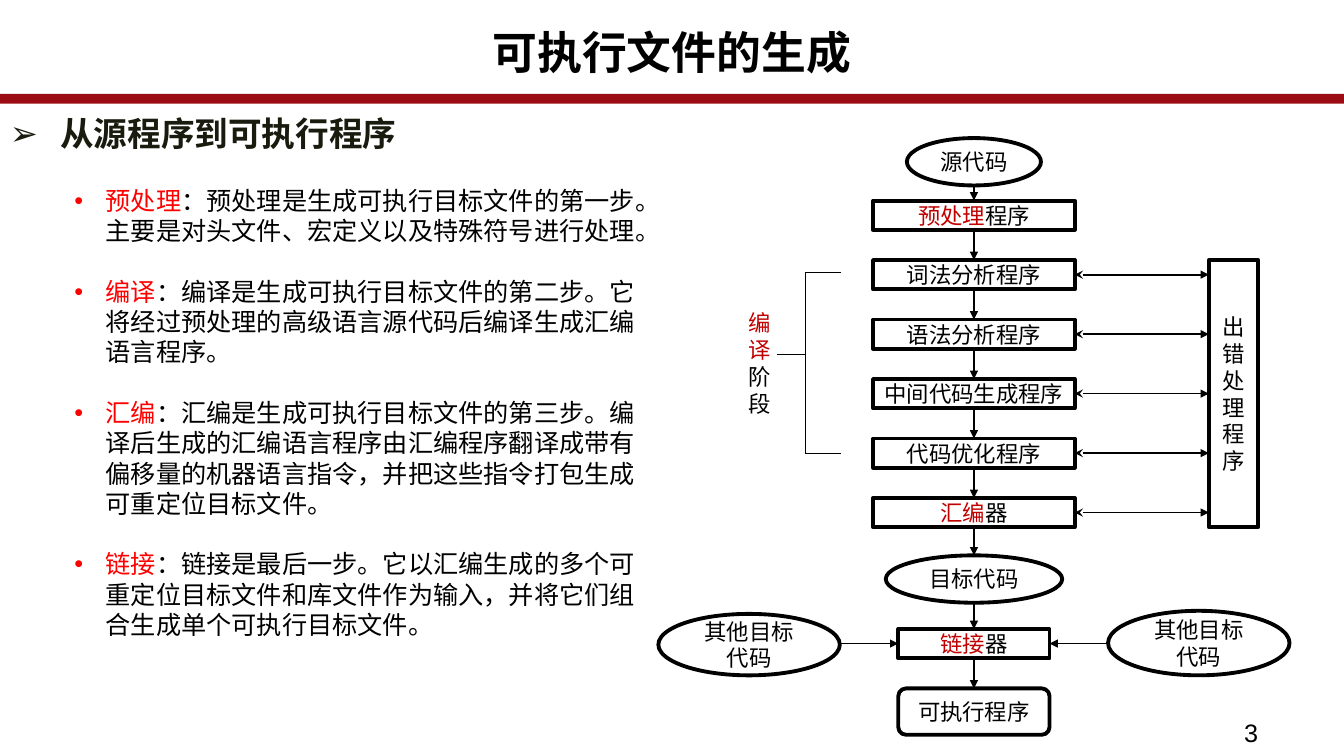
import dataclasses

import lxml.etree
import pptx
import pptx.dml.color
import pptx.enum.shapes
import pptx.enum.text
import pptx.oxml.ns
import pptx.util

COLORS = {"black": "000000", "white": "FFFFFF", "bar": "9C0C15",
          "heading": "191B0E", "term": "FF0000", "stage": "C00000"}
SHAPE = pptx.enum.shapes.MSO_SHAPE
ALIGN = pptx.enum.text.PP_ALIGN
ANCHOR = pptx.enum.text.MSO_ANCHOR
WIDTH, HEIGHT = 13.33, 7.5

STEPS = [
    ("预处理", "：预处理是生成可执行目标文件的第一步。主要是对头文件、宏定义以及特殊符号进行处理。"),
    ("编译", "：编译是生成可执行目标文件的第二步。它将经过预处理的高级语言源代码后编译生成汇编语言程序。"),
    ("汇编", "：汇编是生成可执行目标文件的第三步。编译后生成的汇编语言程序由汇编程序翻译成带有偏移量的机器语言指令，并把这些指令打包生成可重定位目标文件。"),
    ("链接", "：链接是最后一步。它以汇编生成的多个可重定位目标文件和库文件作为输入，并将它们组合生成单个可执行目标文件。"),
]
PROGRAMS = [("预处理", "程序"), ("", "词法分析程序"), ("", "语法分析程序"),
            ("", "中间代码生成程序"), ("", "代码优化程序"), ("汇编", "器")]


@dataclasses.dataclass
class Box:
    left: float
    top: float
    width: float
    height: float

    @property
    def right(self):
        return self.left + self.width

    @property
    def bottom(self):
        return self.top + self.height

    @property
    def center(self):
        return self.left + self.width / 2

    @property
    def middle(self):
        return self.top + self.height / 2

    def inches(self):
        return [pptx.util.Inches(value) for value in (self.left, self.top, self.width, self.height)]


def color(name):
    return pptx.dml.color.RGBColor.from_string(COLORS[name])


def add_xml(parent, tag, **attributes):
    return lxml.etree.SubElement(parent, pptx.oxml.ns.qn(tag), attributes)


def set_bullet(para, mark, indent):
    properties = para._p.get_or_add_pPr()
    properties.set("marL", str(pptx.util.Inches(indent)))
    properties.set("indent", str(-pptx.util.Inches(indent)))
    add_xml(properties, "a:buFont", typeface="Arial")
    add_xml(properties, "a:buChar", char=mark)


def write(para, parts, size, face="Arial", bold=False):
    para.font.size = pptx.util.Pt(size)
    para.font.name = face
    para.font.bold = bold
    parts = [part for part in parts if part[0]]
    for text, name in parts:
        span = para.add_run()
        span.text = text
        if len(parts) > 1:
            span.font.color.rgb = color(name)
    if len(parts) == 1:
        para.font.color.rgb = color(parts[0][1])


def add_text(page, box):
    frame = page.shapes.add_textbox(*box.inches()).text_frame
    frame.word_wrap = True
    return frame


def add_outlined(page, box, kind, fill, line):
    shape = page.shapes.add_shape(kind, *box.inches())
    shape.shadow.inherit = False
    shape.fill.solid()
    shape.fill.fore_color.rgb = color(fill)
    shape.line.color.rgb = color(line)
    shape.line.width = pptx.util.Pt(2.75)
    return shape


def add_node(page, box, kind, text, stage=""):
    frame = add_outlined(page, box, kind, "white", "black").text_frame
    frame.word_wrap = True
    frame.vertical_anchor = ANCHOR.MIDDLE
    frame.margin_top = frame.margin_bottom = 0
    para = frame.paragraphs[0]
    para.alignment = ALIGN.CENTER
    write(para, [(stage, "stage"), (text, "black")], 16, "Times New Roman")
    return box


def add_line(page, start, end, width=1.25, head=None, tail=None):
    line = page.shapes.add_connector(
        pptx.enum.shapes.MSO_CONNECTOR.STRAIGHT,
        *[pptx.util.Inches(value) for value in (*start, *end)])
    line.line.color.rgb = color("black")
    line.line.width = pptx.util.Pt(width)
    for tag, arrow in (("a:headEnd", head), ("a:tailEnd", tail)):
        if arrow:
            add_xml(line.line._get_or_add_ln(), tag, type=arrow)
    add_xml(line._element.spPr, "a:effectLst")


def add_header(page, box):
    add_outlined(page, Box(box.left, box.top + 0.95, box.width, 0.06),
                 SHAPE.ROUNDED_RECTANGLE, "bar", "bar")
    para = add_text(page, Box(box.left, box.top + 0.26, box.width, 0.75)).paragraphs[0]
    para.alignment = ALIGN.CENTER
    para.line_spacing = 0.89
    write(para, [("可执行文件的生成", "black")], 32, bold=True)


def add_explanation(page, box):
    para = add_text(page, Box(box.left, box.top, box.width, 0.55)).paragraphs[0]
    para.line_spacing = 0.94
    set_bullet(para, "➢", 0.5)
    write(para, [("从源程序到可执行程序", "heading")], 24, bold=True)

    frame = add_text(page, Box(box.left + 0.64, box.top + 0.69, 5.8, 4.64))
    for index, (term, detail) in enumerate(STEPS):
        para = frame.add_paragraph() if index else frame.paragraphs[0]
        if index:
            para.space_before = pptx.util.Pt(21.7)
        set_bullet(para, "•", 0.31)
        write(para, [(term, "term"), (detail, "black")], 18)


def add_stage_bracket(page, box):
    label = add_text(page, Box(box.left, box.top + 0.32, 0.37, 1.18))
    write(label.paragraphs[0], [("编译", "stage"), ("阶段", "black")], 16, "Times New Roman")
    spine = box.left + 0.66
    for start, end in [((box.right, box.top), (spine, box.top)),
                       ((spine, box.top), (spine, box.bottom)),
                       ((spine, box.bottom), (box.right, box.bottom)),
                       ((spine, box.top + 0.82), (box.left + 0.38, box.top + 0.82))]:
        add_line(page, start, end, 0.75)


def add_flowchart(page, box):
    def centered(top, width, height):
        return Box(box.center - width / 2, box.top + top, width, height)

    pitch = 0.59
    chain = [add_node(page, centered(0, 1.33, 0.47), SHAPE.OVAL, "源代码")]
    programs = [
        add_node(page, centered(0.62 + row * pitch, 2, 0.29), SHAPE.RECTANGLE, text, stage)
        for row, (stage, text) in enumerate(PROGRAMS)]
    chain += programs
    chain.append(add_node(page, centered(4.14, 1.75, 0.47), SHAPE.OVAL, "目标代码"))
    linker = add_node(page, centered(4.87, 1.5, 0.29), SHAPE.RECTANGLE, "器", "链接")
    chain.append(linker)
    chain.append(add_node(page, centered(5.46, 1.5, 0.46), SHAPE.ROUNDED_RECTANGLE, "可执行程序"))
    for upper, lower in zip(chain, chain[1:]):
        add_line(page, (box.center, upper.bottom), (box.center, lower.top), tail="triangle")

    left = add_node(page, Box(box.left, box.top + 4.72, 1.8, 0.61), SHAPE.OVAL, "其他目标代码")
    right = add_node(page, Box(box.right - 1.8, box.top + 4.69, 1.8, 0.64), SHAPE.OVAL, "其他目标代码")
    for start, end in ((left.right, linker.left), (right.left, linker.right)):
        add_line(page, (start, linker.middle), (end, linker.middle), tail="triangle")

    checked = programs[1:]
    errors = add_node(page, Box(box.left + 5.46, checked[0].top, 0.49,
                                checked[-1].bottom - checked[0].top),
                      SHAPE.RECTANGLE, "出错处理程序")
    for program in checked:
        add_line(page, (program.right, program.middle), (errors.left, program.middle),
                 head="stealth", tail="triangle")
    add_stage_bracket(page, Box(box.left + 0.8, box.top + 1.33, 1.01, 1.8))


def add_page_number(page, box):
    write(add_text(page, box).paragraphs[0], [("3", "black")], 18)


def main():
    deck = pptx.Presentation()
    deck.slide_width = pptx.util.Inches(WIDTH)
    deck.slide_height = pptx.util.Inches(HEIGHT)
    page = deck.slides.add_slide(deck.slide_layouts[6])
    add_header(page, Box(0, 0, WIDTH, 1.01))
    add_explanation(page, Box(0, 1.1, 6.38, 5.88))
    add_flowchart(page, Box(6.53, 1.37, 6.26, 5.92))
    add_page_number(page, Box(12.24, 7.07, 1.09, 0.43))
    deck.save("out.pptx")


if __name__ == "__main__":
    main()
